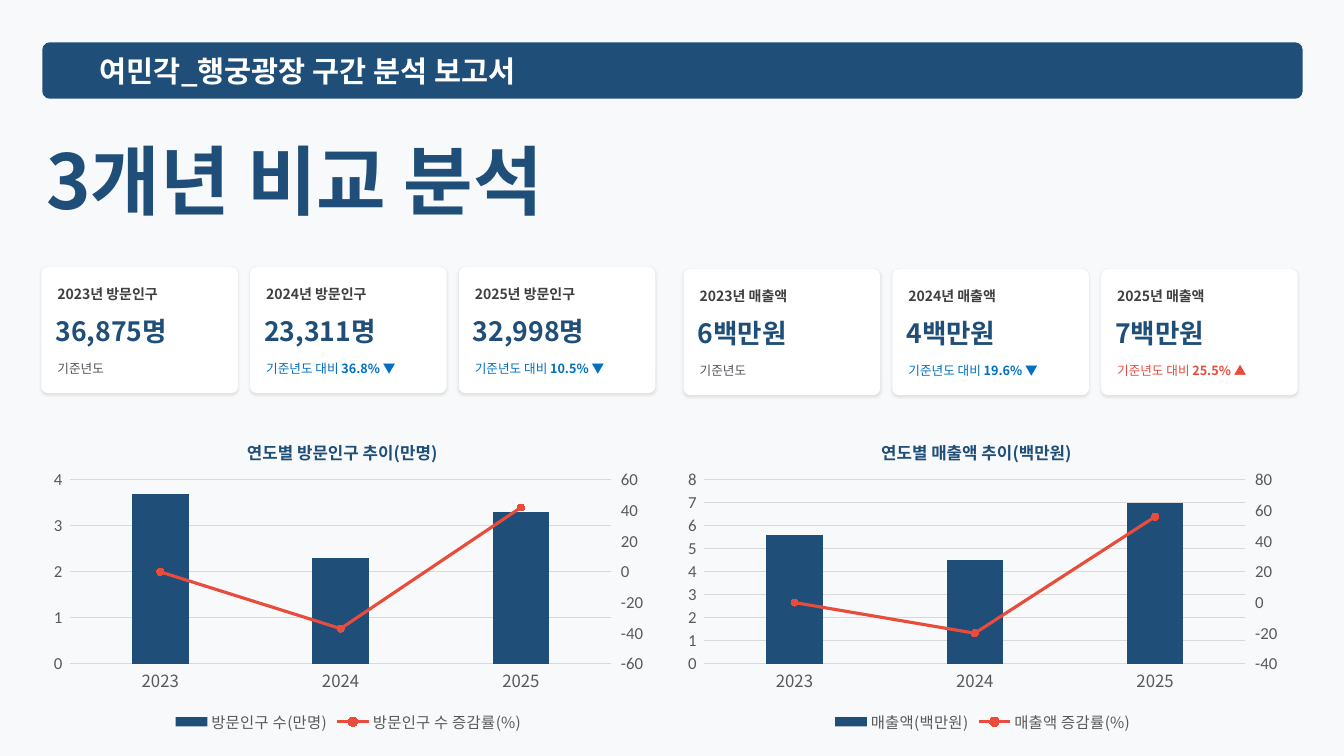
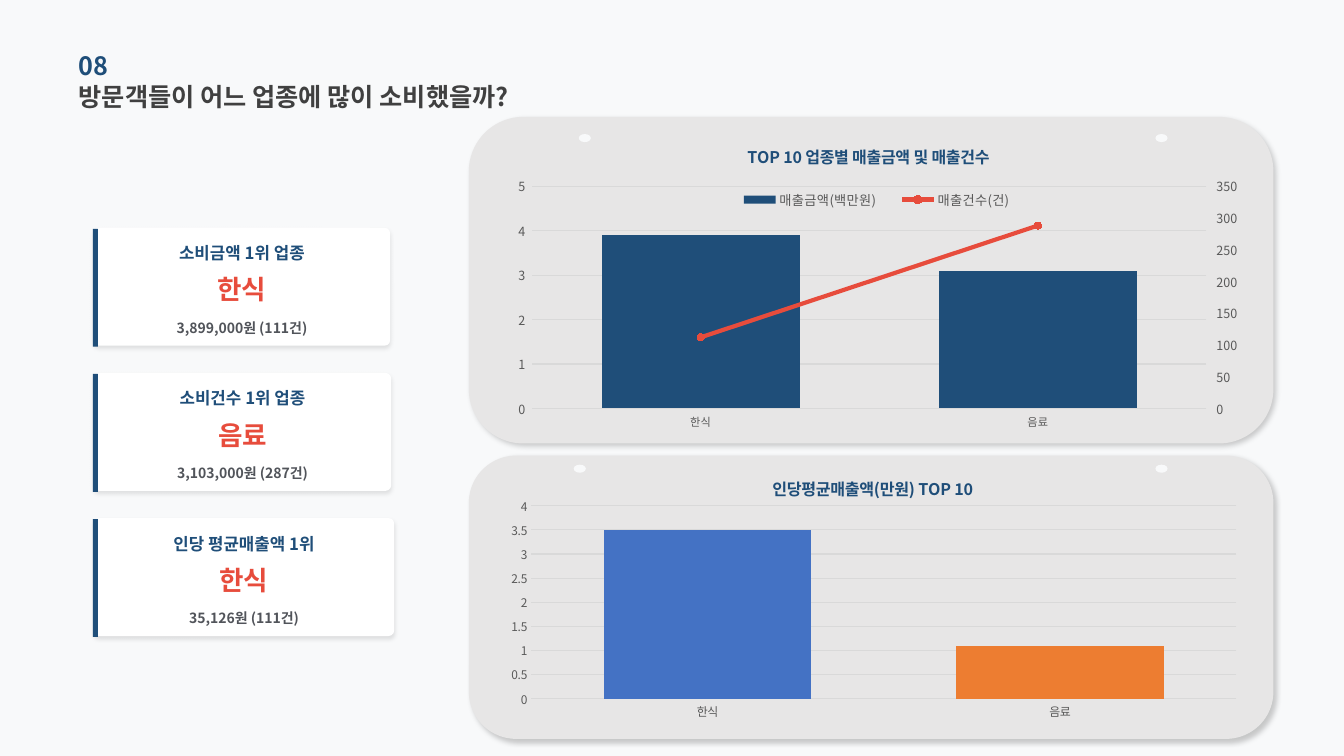
from copy import deepcopy
from dataclasses import dataclass
from typing import Optional

from pptx import Presentation
from pptx.chart.axis import ValueAxis
from pptx.chart.data import CategoryChartData
from pptx.dml.color import RGBColor
from pptx.enum.chart import XL_CHART_TYPE, XL_LEGEND_POSITION, XL_MARKER_STYLE, XL_TICK_MARK
from pptx.enum.shapes import MSO_SHAPE
from pptx.enum.text import MSO_ANCHOR, MSO_AUTO_SIZE, PP_ALIGN
from pptx.oxml import parse_xml
from pptx.oxml.ns import nsdecls, qn
from pptx.util import Inches, Pt

NAVY = RGBColor(0x1F, 0x4E, 0x79)
RED = RGBColor(0xE7, 0x4C, 0x3C)
BLUE = RGBColor(0x00, 0x70, 0xC0)
CHARCOAL = RGBColor(0x40, 0x40, 0x40)
SLATE = RGBColor(0x51, 0x54, 0x5A)
AXIS_GRAY = RGBColor(0x59, 0x59, 0x59)
GRID_GRAY = RGBColor(0xD9, 0xD9, 0xD9)
PANEL_GRAY = RGBColor(0xE7, 0xE6, 0xE6)
PAPER = RGBColor(0xF8, 0xF9, 0xFA)
WHITE = RGBColor(0xFF, 0xFF, 0xFF)
BAR_BLUE = RGBColor(0x44, 0x72, 0xC4)
BAR_ORANGE = RGBColor(0xED, 0x7D, 0x31)

FONT = "Noto Sans CJK KR"
NUMBER_FONT = "Calibri"
ROUNDED, RECTANGLE, OVAL = MSO_SHAPE.ROUNDED_RECTANGLE, MSO_SHAPE.RECTANGLE, MSO_SHAPE.OVAL
LEFT, CENTER = PP_ALIGN.LEFT, PP_ALIGN.CENTER
TICK_NONE, TICK_OUT = XL_TICK_MARK.NONE, XL_TICK_MARK.OUTSIDE
LEGEND_TOP, LEGEND_BOTTOM = XL_LEGEND_POSITION.TOP, XL_LEGEND_POSITION.BOTTOM
COLUMNS = XL_CHART_TYPE.COLUMN_CLUSTERED
CIRCLE = XL_MARKER_STYLE.CIRCLE

Box = tuple[float, float, float, float]


@dataclass
class Shadow:
    alpha: int
    blur: float
    distance: float
    angle: int


KPI_SHADOW = Shadow(10, 2, 1, 90)
RANK_SHADOW = Shadow(10, 3, 2, 90)
PANEL_SHADOW = Shadow(20, 4, 3, 45)


@dataclass
class KpiCard:
    label: str
    value: str
    note: str = "기준년도"
    change: str = ""
    note_color: RGBColor = SLATE
    label_width: float = 1.12


@dataclass
class RankCard:
    label: str
    winner: str
    detail: str
    width: float


@dataclass
class Scale:
    low: float
    high: float
    step: float
    number_format: str = "General"


@dataclass
class LineSeries:
    name: str
    values: list[float]
    scale: Scale
    width: float


@dataclass
class ColumnChart:
    box: Box
    title: str
    title_spot: tuple[float, float]
    categories: list[str]
    name: str
    values: list[float]
    scale: Scale
    plot: Box
    line: Optional[LineSeries] = None
    title_size: float = 11.5
    category_size: float = 8.5
    value_size: float = 8.5
    value_font: str = FONT
    gap: int = 70
    overlap: int = -27
    legend_position: Optional[XL_LEGEND_POSITION] = None
    legend_size: float = 9.5
    legend_box: Optional[Box] = None
    point_colors: tuple[RGBColor, ...] = ()


# Text and shapes
def style_font(font, *, size: float, color: RGBColor, bold: bool = False, name: str = FONT) -> None:
    font.size, font.bold, font.name = Pt(size), bold, name
    font.color.rgb = color
    font._rPr.find(qn("a:latin")).addnext(
        parse_xml(f'<a:ea {nsdecls("a")} typeface="{FONT}"/>'))


def write_text(box, text: str, *, size: float, color: RGBColor, bold: bool = True,
               align: PP_ALIGN = LEFT, bold_tail: str = "") -> None:
    frame = box.text_frame
    frame.word_wrap, frame.auto_size = True, MSO_AUTO_SIZE.NONE
    frame.vertical_anchor = MSO_ANCHOR.MIDDLE
    frame.margin_left = frame.margin_right = frame.margin_top = frame.margin_bottom = 0
    para = frame.paragraphs[0]
    para.alignment = align
    for content, weight in ((text, bold), (bold_tail, True)):
        if content:
            span = para.add_run()
            span.text = content
            style_font(span.font, size=size, color=color, bold=weight)


def add_text(shapes, area: Box, text: str, **text_format) -> None:
    write_text(shapes.add_textbox(*map(Inches, area)), text, **text_format)


def set_title(page, area: Box, text: str, **text_format) -> None:
    title = page.shapes.title
    title.left, title.top, title.width, title.height = map(Inches, area)
    write_text(title, text, **text_format)


def add_block(shapes, kind: MSO_SHAPE, area: Box, color: RGBColor,
              corner: Optional[float] = None, shadow: Optional[Shadow] = None) -> None:
    shape = shapes.add_shape(kind, *map(Inches, area))
    shape.fill.solid()
    shape.fill.fore_color.rgb = color
    shape.line.fill.background()
    shape.shadow.inherit = False
    if corner is not None:
        shape.adjustments[0] = corner
    if shadow:
        shape._element.spPr.find(qn("a:effectLst")).append(parse_xml(
            f'<a:outerShdw {nsdecls("a")} blurRad="{Pt(shadow.blur)}" dist="{Pt(shadow.distance)}" '
            f'dir="{shadow.angle * 60000}" algn="ctr" rotWithShape="0"><a:srgbClr val="000000">'
            f'<a:alpha val="{shadow.alpha * 1000}"/></a:srgbClr></a:outerShdw>'))


# Cards
def add_kpi_card(page, left: float, top: float, card: KpiCard) -> None:
    shapes = page.shapes
    add_block(shapes, ROUNDED, (left, top, 1.95, 1.25), WHITE, 0.053, KPI_SHADOW)
    add_text(shapes, (left + 0.16, top + 0.18, card.label_width, 0.18), card.label,
             size=10, color=CHARCOAL)
    add_text(shapes, (left + 0.14, top + 0.49, 1.95, 0.29), card.value, size=19, color=NAVY)
    add_text(shapes, (left + 0.16, top + 0.9, 1.75, 0.21), card.note, size=9,
             color=card.note_color, bold=False, bold_tail=card.change)


def add_rank_card(page, left: float, top: float, card: RankCard) -> None:
    shapes = page.shapes.add_group_shape().shapes
    add_block(shapes, ROUNDED, (left, top, card.width, 1.17), WHITE, 0.048, RANK_SHADOW)
    lines = ((0.14, 0.22, card.label, 12, NAVY), (0.44, 0.34, card.winner, 19, RED),
             (0.91, 0.17, card.detail, 10, SLATE))
    for offset, height, text, size, color in lines:
        add_text(shapes, (left, top + offset, card.width, height), text,
                 size=size, color=color, align=CENTER)
    add_block(shapes, RECTANGLE, (left - 0.01, top + 0.01, 0.05, 1.17), NAVY)


# Charts
def place_part(part, anchor_tag: str, inner: bool = False, **place: float) -> None:
    """Give a chart part a manual layout, in fractions of the chart."""
    for old in part.findall(qn("c:layout")):
        part.remove(old)
    target = '<c:layoutTarget val="inner"/>' if inner else ""
    modes = '<c:xMode val="edge"/><c:yMode val="edge"/>'
    values = "".join(f'<c:{key} val="{value}"/>' for key, value in place.items())
    part.find(qn(anchor_tag)).addprevious(parse_xml(
        f'<c:layout {nsdecls("c")}><c:manualLayout>{target}{modes}{values}'
        '</c:manualLayout></c:layout>'))


def set_scale(axis, scale: Scale) -> None:
    axis.minimum_scale, axis.maximum_scale, axis.major_unit = scale.low, scale.high, scale.step
    axis.tick_labels.number_format = scale.number_format
    axis.tick_labels.number_format_is_linked = False


def move_to_right_axis(chart, line: LineSeries) -> None:
    """Turn the second column series into a line on its own axis."""
    plot_area = chart._chartSpace.chart.plotArea
    columns = plot_area.find(qn("c:barChart"))
    series = columns.findall(qn("c:ser"))[1]
    for column_only in series.findall(qn("c:invertIfNegative")):
        series.remove(column_only)
    line_plot = parse_xml(
        f'<c:lineChart {nsdecls("c")}><c:grouping val="standard"/><c:varyColors val="0"/>'
        '<c:marker val="1"/><c:axId val="50010"/><c:axId val="50020"/></c:lineChart>')
    line_plot.insert(2, series)
    columns.addnext(line_plot)

    category = deepcopy(plot_area.find(qn("c:catAx")))
    value = deepcopy(plot_area.find(qn("c:valAx")))
    for axis, own, other in ((category, "50010", "50020"), (value, "50020", "50010")):
        axis.find(qn("c:axId")).set("val", own)
        axis.find(qn("c:crossAx")).set("val", other)
    plot_area.find(qn("c:valAx")).addnext(value)
    value.addnext(category)
    category.find(qn("c:delete")).set("val", "1")
    value.find(qn("c:axPos")).set("val", "r")
    value.find(qn("c:crosses")).set("val", "max")
    right_axis = ValueAxis(value)
    right_axis.has_major_gridlines = False
    right_axis.major_tick_mark = TICK_OUT
    set_scale(right_axis, line.scale)

    drawn = chart.plots[1].series[0]
    drawn.smooth = False
    drawn.format.line.color.rgb = RED
    drawn.format.line.width = Pt(line.width)
    drawn.marker.style, drawn.marker.size = CIRCLE, 5
    drawn.marker.format.fill.solid()
    drawn.marker.format.fill.fore_color.rgb = RED
    drawn.marker.format.line.color.rgb = RED


def add_column_chart(page, design: ColumnChart) -> None:
    data = CategoryChartData()
    data.categories = design.categories
    data.add_series(design.name, design.values)
    if design.line:
        data.add_series(design.line.name, design.line.values)
    chart = page.shapes.add_chart(COLUMNS, *map(Inches, design.box), data).chart
    style_font(chart.font, size=10, color=AXIS_GRAY, name=NUMBER_FONT)

    # Title
    chart.has_title = True
    para = chart.chart_title.text_frame.paragraphs[0]
    span = para.add_run()
    span.text = design.title
    style_font(span.font, size=design.title_size, color=NAVY, bold=True)
    left, top = design.title_spot
    place_part(chart.chart_title._element, "c:overlay", x=left, y=top)

    # Axes
    category, value = chart.category_axis, chart.value_axis
    category.format.line.color.rgb = GRID_GRAY
    category.format.line.width = Pt(0.75)
    value.format.line.fill.background()
    value.has_major_gridlines = True
    value.major_gridlines.format.line.color.rgb = GRID_GRAY
    value.major_gridlines.format.line.width = Pt(0.75)
    category.major_tick_mark = value.major_tick_mark = TICK_NONE
    style_font(category.tick_labels.font, size=design.category_size, color=AXIS_GRAY)
    style_font(value.tick_labels.font, size=design.value_size, color=AXIS_GRAY,
               name=design.value_font)
    set_scale(value, design.scale)

    # Columns and line
    plot = chart.plots[0]
    plot.gap_width, plot.overlap, plot.vary_by_categories = design.gap, design.overlap, False
    columns = plot.series[0]
    columns.format.fill.solid()
    columns.format.fill.fore_color.rgb = NAVY
    for index, color in enumerate(design.point_colors):
        fill = columns.points[index].format.fill
        fill.solid()
        fill.fore_color.rgb = color
    if design.line:
        move_to_right_axis(chart, design.line)

    # Legend, plot area and clear background
    chart.has_legend = design.legend_position is not None
    if chart.has_legend:
        legend = chart.legend
        legend.position = design.legend_position
        legend.include_in_layout = False
        style_font(legend.font, size=design.legend_size, color=AXIS_GRAY)
        if design.legend_box:
            place_part(legend._element, "c:overlay", **dict(zip("xywh", design.legend_box)))
    chart_xml = chart._chartSpace.chart
    place_part(chart_xml.plotArea, "c:barChart", inner=True, **dict(zip("xywh", design.plot)))
    clear = f'<c:spPr {nsdecls("c", "a")}><a:noFill/><a:ln><a:noFill/></a:ln></c:spPr>'
    chart_xml.plotArea.append(parse_xml(clear))
    chart_xml.addnext(parse_xml(clear))


# Slides
def build_comparison(page) -> None:
    add_block(page.shapes, ROUNDED, (0.42, 0.42, 12.5, 0.56), NAVY, 0.132)
    add_text(page.shapes, (0.99, 0.49, 11.35, 0.43), "여민각_행궁광장 구간 분석 보고서",
             size=21, color=WHITE)
    set_title(page, (0.46, 1.23, 6.32, 1.09), "3개년 비교 분석", size=54, color=NAVY)

    versus = "기준년도 대비 "
    visitors = [KpiCard("2023년 방문인구", "36,875명"),
                KpiCard("2024년 방문인구", "23,311명", versus, "36.8% ▼", BLUE),
                KpiCard("2025년 방문인구", "32,998명", versus, "10.5% ▼", BLUE, 1.03)]
    sales = [KpiCard("2023년 매출액", "6백만원"),
             KpiCard("2024년 매출액", "4백만원", versus, "19.6% ▼", BLUE),
             KpiCard("2025년 매출액", "7백만원", versus, "25.5% ▲", RED)]
    for left, top, cards in ((0.41, 2.65, visitors), (6.78, 2.67, sales)):
        for index, card in enumerate(cards):
            add_kpi_card(page, left + 2.07 * index, top, card)

    trends = (
        (0.41, "연도별 방문인구 추이(만명)", "방문인구 수(만명)", [3.7, 2.3, 3.3],
         Scale(0, 4, 1, "#,##0_);[Red]\\(#,##0\\)"),
         LineSeries("방문인구 수 증감률(%)", [0, -37, 42], Scale(-60, 60, 20), 2.25)),
        (6.7, "연도별 매출액 추이(백만원)", "매출액(백만원)", [5.6, 4.5, 7],
         Scale(0, 8, 1, "#,##0_ "),
         LineSeries("매출액 증감률(%)", [0, -20, 56], Scale(-40, 80, 20), 2.25)))
    for left, title, name, values, scale, line in trends:
        add_column_chart(page, ColumnChart(
            (left, 4.14, 6.09, 3.17), title, (0.33, 0.055), ["2023", "2024", "2025"],
            name, values, scale, (0.047, 0.196, 0.881, 0.576), line, title_size=12,
            category_size=12, value_size=12, value_font=NUMBER_FONT, gap=219, overlap=0,
            legend_position=LEGEND_BOTTOM, legend_size=11))


def build_spending(page) -> None:
    for top, height in ((4.52, 2.81), (1.16, 3.24)):
        add_block(page.shapes, ROUNDED, (4.65, top, 7.98, height), PANEL_GRAY, shadow=PANEL_SHADOW)
    set_title(page, (0.78, 0.75, 4.52, 0.41), "방문객들이 어느 업종에 많이 소비했을까?",
              size=18, color=CHARCOAL)
    add_text(page.shapes, (0.78, 0.44, 4.52, 0.41), "08", size=18, color=NAVY)

    ranks = [RankCard("소비금액 1위 업종", "한식", "3,899,000원 (111건)", 2.94),
             RankCard("소비건수 1위 업종", "음료", "3,103,000원 (287건)", 2.95),
             RankCard("인당 평균매출액 1위", "한식", "35,126원 (111건)", 2.98)]
    for index, card in enumerate(ranks):
        add_rank_card(page, 0.93, 2.26 + 1.44 * index, card)

    categories = ["한식", "음료"]
    add_column_chart(page, ColumnChart(
        (4.98, 1.24, 7.32, 3.15), "TOP 10 업종별 매출금액 및 매출건수", (0.33, 0.05), categories,
        "매출금액(백만원)", [3.9, 3.1], Scale(0, 5, 1, "#,##0_ "), (0.041, 0.193, 0.918, 0.7),
        LineSeries("매출건수(건)", [112, 288], Scale(0, 350, 50, "#,##0_ "), 3),
        category_size=8, value_size=9, legend_position=LEGEND_TOP,
        legend_box=(0.3, 0.2, 0.42, 0.07)))
    add_column_chart(page, ColumnChart(
        (4.98, 4.54, 7.43, 2.67), "인당평균매출액(만원) TOP 10", (0.357, 0.055), categories,
        "Series 1", [3.5, 1.1], Scale(0, 4, 0.5), (0.039, 0.179, 0.941, 0.717),
        point_colors=(BAR_BLUE, BAR_ORANGE)))

    # Panel pins
    for left, top in ((5.74, 1.33), (11.46, 1.33), (11.46, 4.61), (5.69, 4.61)):
        add_block(page.shapes, OVAL, (left, top, 0.12, 0.08), PAPER)


def main() -> None:
    deck = Presentation()
    deck.slide_width, deck.slide_height = Inches(13.33), Inches(7.5)
    backdrop = deck.slide_master.background.fill
    backdrop.solid()
    backdrop.fore_color.rgb = PAPER
    for build in (build_comparison, build_spending):
        build(deck.slides.add_slide(deck.slide_layouts[5]))
    deck.save("out.pptx")


if __name__ == "__main__":
    main()
